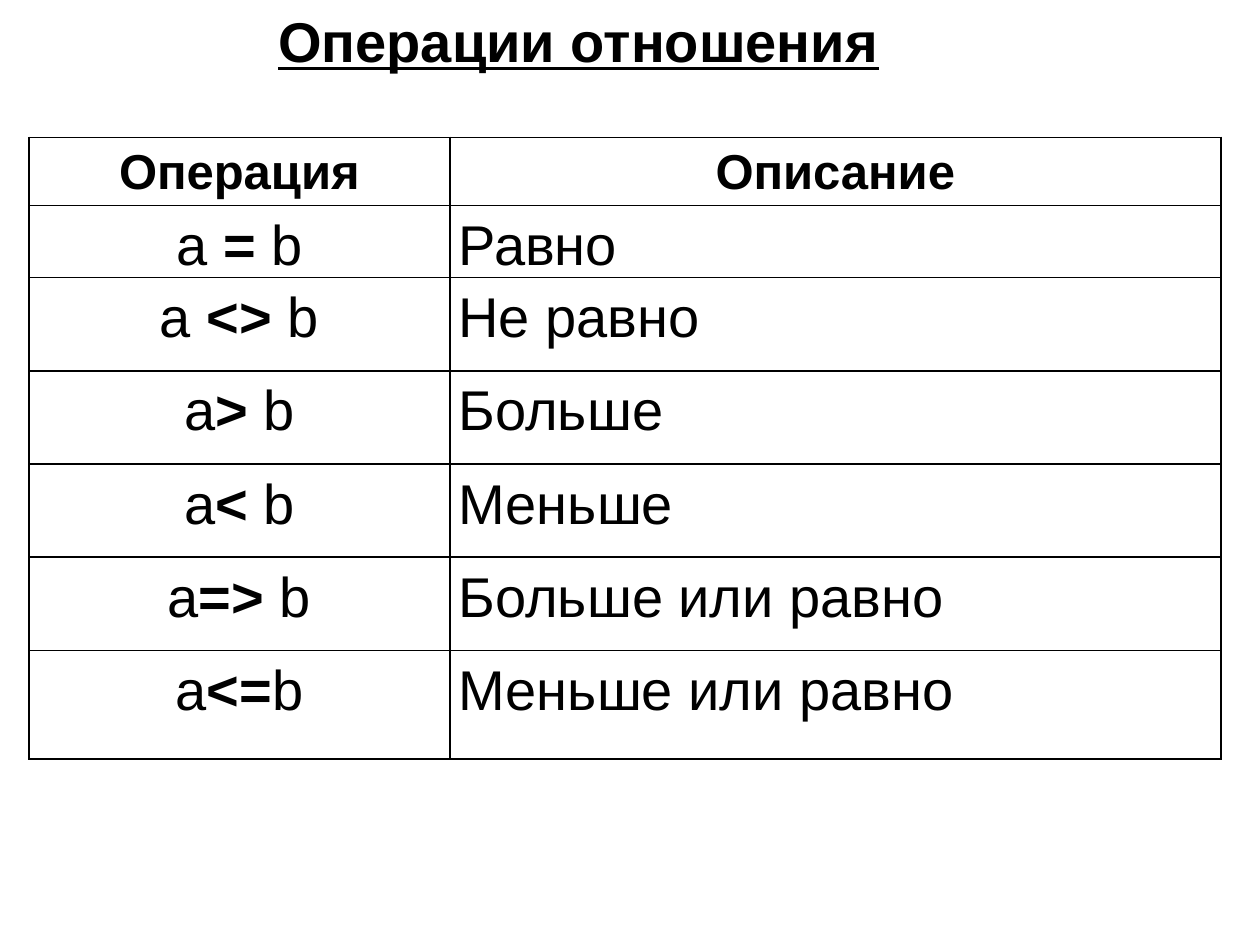
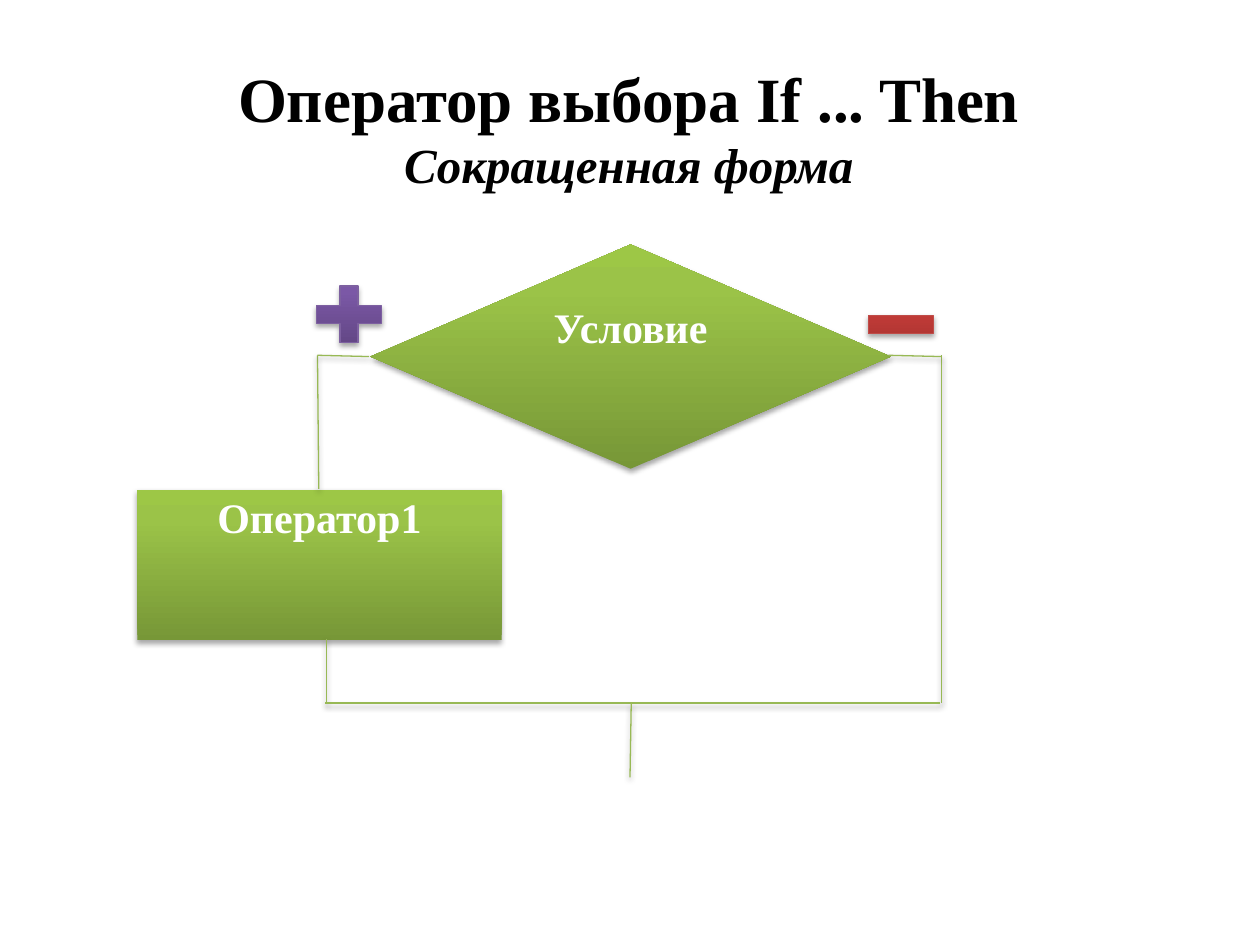
"""Builds two slides: a table of comparison operators and an If ... Then flowchart."""
import pptx
import pptx.util
import pptx.dml.color
import pptx.enum.shapes
import pptx.enum.text
import pptx.oxml.ns
from lxml import etree

RGB = pptx.dml.color.RGBColor
SHAPE = pptx.enum.shapes.MSO_SHAPE
CENTER = pptx.enum.text.PP_ALIGN.CENTER
LEFT = pptx.enum.text.PP_ALIGN.LEFT
TOP = pptx.enum.text.MSO_ANCHOR.TOP
MIDDLE = pptx.enum.text.MSO_ANCHOR.MIDDLE
qn = pptx.oxml.ns.qn

EMU_PER_PX = 9144
SANS, SERIF = "Arial", "Times New Roman"
BLACK, WHITE = RGB(0, 0, 0), RGB(255, 255, 255)
GREEN_LINE = RGB(0x98, 0xB9, 0x55)
PURPLE_LINE = RGB(0x7D, 0x60, 0xA0)
RED_LINE = RGB(0xBF, 0x4C, 0x48)
GREENS = RGB(0x77, 0x97, 0x37), RGB(0x9B, 0xC3, 0x48), RGB(0x9D, 0xC7, 0x46)
PURPLES = RGB(0x5F, 0x44, 0x80), RGB(0x7B, 0x58, 0xA6), RGB(0x7C, 0x57, 0xA8)
REDS = RGB(0x9C, 0x2F, 0x2D), RGB(0xCB, 0x3E, 0x3A), RGB(0xCE, 0x3B, 0x37)
STOPS = 0, 80, 100

TABLE_TITLE = [[("Операции отношения", 32, "bu")]]
HEADINGS = "Операция", "Описание"
OPERATIONS = [
    ("a ", "= ", "b", "Равно"),
    ("a ", "<> ", "b", "Не равно"),
    ("a", ">", " b", "Больше"),
    ("a", "<", " b", "Меньше"),
    ("a", "=> ", "b", "Больше или равно"),
    ("a", "<=", "b", "Меньше или равно"),
]
COLUMNS = 334, 612
ROWS = 54, 57, 74, 74, 74, 74, 86

CHART_TITLE = [
    [("Оператор выбора If ... Then", 36, "b")],
    [("Сокращенная форма", 28, "bi")],
]
BLOCKS = [
    (SHAPE.FLOWCHART_DECISION, (294, 194, 413, 178), GREENS, None, "Условие", 0),
    (SHAPE.FLOWCHART_PROCESS, (109, 389, 289, 119), GREENS, None, "Оператор1", 10),
]
SIGNS = [
    (SHAPE.MATH_PLUS, (242, 219, 70, 61), PURPLES, PURPLE_LINE),
    (SHAPE.MATH_MINUS, (680, 227, 70, 61), REDS, RED_LINE),
]
LINES = [
    (252, 282, 253, 388),
    (747, 282, 747, 558),
    (259, 507, 259, 559),
    (258, 558, 746, 558),
    (500, 617, 501, 558),
    (705, 282, 747, 283),
    (252, 282, 293, 283),
]


def px(*lengths):
    return [pptx.util.Emu(length * EMU_PER_PX) for length in lengths]


def write(frame, paragraphs, font, color=BLACK, align=LEFT, spacing=None):
    for index, spans in enumerate(paragraphs):
        para = frame.add_paragraph() if index else frame.paragraphs[0]
        para.alignment = align
        para.line_spacing = spacing
        for text, size, style in spans:
            span = para.add_run()
            span.text = text
            span.font.name = font
            span.font.size = pptx.util.Pt(size)
            span.font.color.rgb = color
            span.font.bold = "b" in style
            span.font.italic = "i" in style
            span.font.underline = "u" in style


def add_title(page, place, paragraphs, font, align, wrap, anchor):
    frame = page.shapes.add_textbox(*px(*place)).text_frame
    frame.word_wrap = wrap
    frame.vertical_anchor = anchor
    write(frame, paragraphs, font, align=align)


def add_shadow(item):
    effects = etree.SubElement(item._element.spPr, qn("a:effectLst"))
    shadow = etree.SubElement(effects, qn("a:outerShdw"), blurRad="39370",
                              dist="22860", dir="5400000", rotWithShape="0")
    color = etree.SubElement(shadow, qn("a:srgbClr"), val=str(BLACK))
    etree.SubElement(color, qn("a:alpha"), val="35000")


def add_block(page, kind, place, colors, outline):
    shape = page.shapes.add_shape(kind, *px(*place))
    shape.fill.gradient()
    shape.fill.gradient_angle = 90
    stops = shape._element.spPr.find(".//" + qn("a:gsLst"))
    for stop in list(stops):
        stops.remove(stop)
    for position, color in zip(STOPS, colors):
        stop = etree.SubElement(stops, qn("a:gs"), pos=str(position * 1000))
        etree.SubElement(stop, qn("a:srgbClr"), val=str(color))
    if outline:
        shape.line.color.rgb = outline
        shape.line.width = pptx.util.Pt(0.75)
    else:
        shape.line.fill.background()
    add_shadow(shape)
    return shape


def add_line(page, ends):
    line = page.shapes.add_connector(
        pptx.enum.shapes.MSO_CONNECTOR.STRAIGHT, *px(*ends))
    line.line.color.rgb = GREEN_LINE
    line.line.width = pptx.util.Pt(0.75)
    add_shadow(line)


def fill_cell(cell, spans, align):
    cell.margin_left, cell.margin_right, cell.margin_top, cell.margin_bottom = px(7, 7, 0, 0)
    properties = cell._tc.get_or_add_tcPr()
    for side in "LRTB":
        border = etree.SubElement(properties, qn("a:ln" + side), w="12700")
        solid = etree.SubElement(border, qn("a:solidFill"))
        etree.SubElement(solid, qn("a:srgbClr"), val=str(BLACK))
    cell.fill.background()
    write(cell.text_frame, [spans], SANS, align=align, spacing=1.15)


def build_table_page(page):
    place = (23, 109, sum(COLUMNS), sum(ROWS))
    table = page.shapes.add_table(len(ROWS), len(COLUMNS), *px(*place)).table
    for column, width in zip(table.columns, px(*COLUMNS)):
        column.width = width
    for row, height in zip(table.rows, px(*ROWS)):
        row.height = height
    for index, heading in enumerate(HEADINGS):
        fill_cell(table.cell(0, index), [(heading, 28, "b")], CENTER)
    for index, (first, sign, second, meaning) in enumerate(OPERATIONS, 1):
        formula = [(first, 32, ""), (sign, 32, "b"), (second, 32, "")]
        fill_cell(table.cell(index, 0), formula, CENTER)
        fill_cell(table.cell(index, 1), [(meaning, 32, "")], LEFT)
    add_title(page, (211, 0, 500, 64), TABLE_TITLE, SANS, LEFT, False, TOP)


def build_chart_page(page):
    for kind, place, colors, outline, label, margin in BLOCKS:
        frame = add_block(page, kind, place, colors, outline).text_frame
        frame.margin_left, frame.margin_right, frame.margin_top, frame.margin_bottom = px(
            margin, margin, 1, 1)
        frame.vertical_anchor = TOP
        frame.word_wrap = True
        write(frame, [[(label, 24, "b")]], SERIF, WHITE, CENTER)
    for ends in LINES:
        add_line(page, ends)
    add_title(page, (42, 42, 914, 117), CHART_TITLE, SERIF, CENTER, True, MIDDLE)
    for sign in SIGNS:
        add_block(page, *sign)


def main():
    deck = pptx.Presentation()
    deck.slide_width, deck.slide_height = px(1000, 750)
    for build in (build_table_page, build_chart_page):
        build(deck.slides.add_slide(deck.slide_layouts[6]))
    deck.save("out.pptx")


if __name__ == "__main__":
    main()
